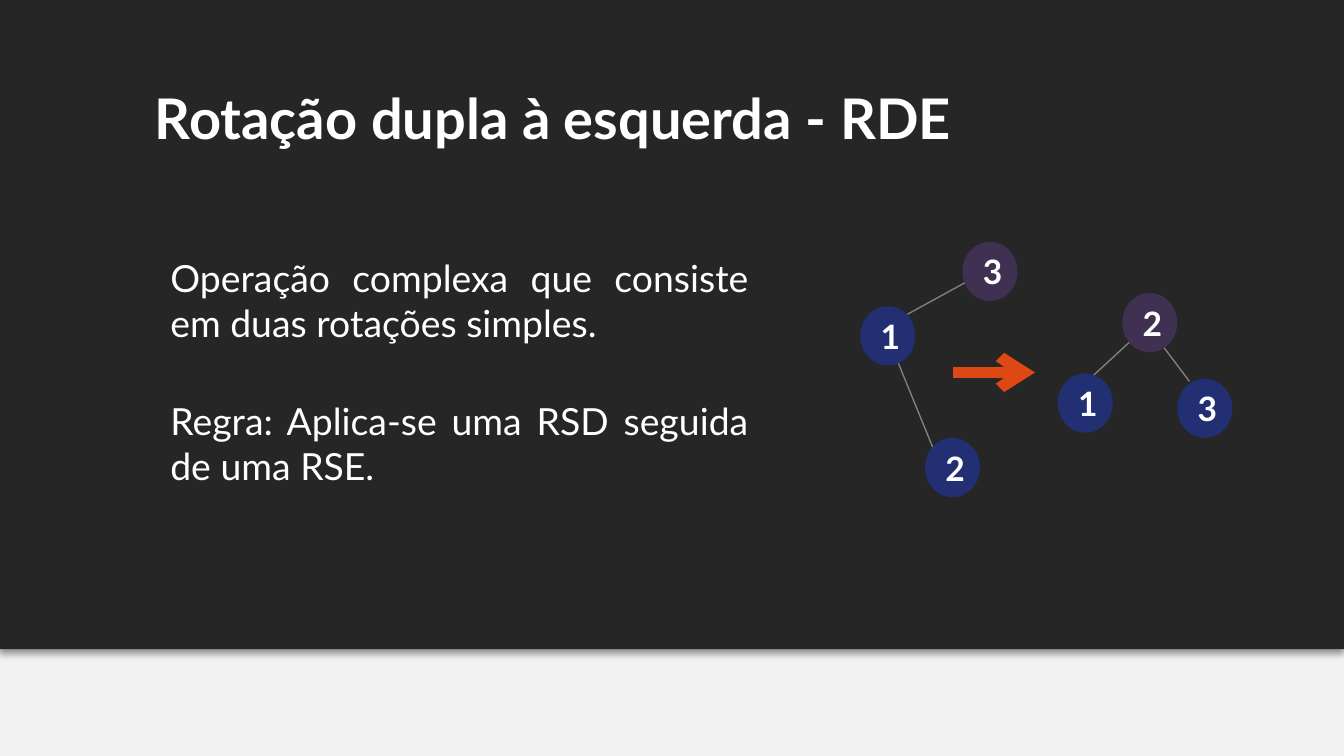
"""Build a slide that explains the double left rotation of a tree."""
import lxml.etree
import pptx
import pptx.dml.color
import pptx.enum.shapes
import pptx.enum.text
import pptx.oxml.ns
import pptx.util

Cm, Pt = pptx.util.Cm, pptx.util.Pt
ALIGN = pptx.enum.text.PP_ALIGN
ANCHOR = pptx.enum.text.MSO_ANCHOR
SHAPE = pptx.enum.shapes.MSO_SHAPE

WHITE, DARK, PALE = "FFFFFF", "262626", "F2F2F2"
BLUE, PURPLE, GREY, ORANGE = "232F73", "403152", "808080", "DD4814"
NODE_WIDTH, NODE_HEIGHT = 1.04, 1.12
INSET = 0.25

EDGES = [
    (18.39, 5.26, 17.15, 5.94),
    (16.89, 6.65, 17.63, 8.46),
    (20.4, 7.34, 21.69, 6.15),
    (21.41, 5.79, 22.48, 7.21),
]
NODES = [
    ("3", 18.19, 4.57, PURPLE),
    ("1", 16.26, 5.79, BLUE),
    ("2", 17.48, 8.28, BLUE),
    ("2", 21.21, 5.54, PURPLE),
    ("1", 19.99, 7.06, BLUE),
    ("3", 22.25, 7.16, BLUE),
]
RULES = [
    "Operação complexa que consiste em duas rotações simples.",
    "Regra: Aplica-se uma RSD seguida de uma RSE.",
]


def color(value):
    """Turn a hex string into a colour."""
    return pptx.dml.color.RGBColor.from_string(value)


def apply_format(target, values):
    """Set each attribute of the target from a dict."""
    for name, value in values.items():
        setattr(target, name, value)


def add_element(parent, tag, **attributes):
    """Append a drawing element to its parent and return it."""
    return lxml.etree.SubElement(parent, pptx.oxml.ns.qn(tag), attributes)


def place(shape, left, top, width, height):
    """Move and size a shape, in centimetres."""
    lengths = zip(("left", "top", "width", "height"), (left, top, width, height))
    apply_format(shape, {name: Cm(value) for name, value in lengths})


def write_text(shape, lines, size, bold, alignment, gap=0, anchor=ANCHOR.TOP,
               insets=(INSET, INSET, INSET, INSET), wrap=True):
    """Fill a shape with one paragraph for each line."""
    frame = shape.text_frame
    frame.text = "\n".join(lines)
    sides = ("margin_left", "margin_top", "margin_right", "margin_bottom")
    apply_format(frame, {side: Cm(inset) for side, inset in zip(sides, insets)})
    apply_format(frame, {
        "word_wrap": wrap,
        "vertical_anchor": anchor,
        "auto_size": pptx.enum.text.MSO_AUTO_SIZE.NONE,
    })
    for index, paragraph in enumerate(frame.paragraphs):
        apply_format(paragraph, {
            "alignment": alignment,
            "space_before": Pt(gap if index else 0),
        })
        font = paragraph.runs[0].font
        apply_format(font, {"name": "Lato", "size": Pt(size), "bold": bold})
        font.color.rgb = color(WHITE)


def add_filled(slide, kind, left, top, width, height, fill):
    """Add a borderless shape with a plain fill."""
    shape = slide.shapes.add_shape(kind, Cm(left), Cm(top), Cm(width), Cm(height))
    shape.shadow.inherit = False
    shape.fill.solid()
    shape.fill.fore_color.rgb = color(fill)
    shape.line.fill.background()
    return shape


def add_panel(slide):
    """Add the dark panel behind everything, with a shadow below it."""
    panel = add_filled(slide, SHAPE.RECTANGLE, 0, 0, 25.4, 12.27, DARK)
    effects = panel._element.spPr.find(pptx.oxml.ns.qn("a:effectLst"))
    shadow = add_element(effects, "a:outerShdw", blurRad=str(Pt(4)),
                         dist=str(Pt(3)), dir="5400000", rotWithShape="0")
    shade = add_element(shadow, "a:srgbClr", val="000000")
    add_element(shade, "a:alpha", val="40000")
    slide.shapes._spTree.insert(2, panel._element)


def add_node(slide, label, left, top, fill):
    """Add a numbered tree node."""
    node = add_filled(slide, SHAPE.OVAL, left, top, NODE_WIDTH, NODE_HEIGHT, fill)
    write_text(node, [label], 18, True, ALIGN.CENTER, anchor=ANCHOR.MIDDLE,
               insets=(0.1, 0, 0, 0), wrap=False)


def add_line(slide, points, line_color, width, arrow=False):
    """Add a straight line, with an arrowhead at its end if asked."""
    connector = slide.shapes.add_connector(
        pptx.enum.shapes.MSO_CONNECTOR.STRAIGHT, *map(Cm, points))
    connector.line.color.rgb = color(line_color)
    connector.line.width = Pt(width)
    if arrow:
        add_element(connector.line._get_or_add_ln(), "a:tailEnd", type="arrow")
    add_element(connector._element.spPr, "a:effectLst")


def main():
    """Build and save the presentation."""
    presentation = pptx.Presentation()
    apply_format(presentation, {"slide_width": Cm(25.4), "slide_height": Cm(14.29)})
    slide = presentation.slides.add_slide(presentation.slide_layouts[5])
    slide.background.fill.solid()
    slide.background.fill.fore_color.rgb = color(PALE)
    add_panel(slide)

    title = slide.shapes.title
    place(title, 2.11, 1.32, 16.69, 2.06)
    write_text(title, ["Rotação dupla à esquerda - RDE"], 30, True, ALIGN.CENTER)

    body = slide.shapes.add_textbox(Cm(2.97), Cm(4.57), Cm(11.43), Cm(4.83))
    write_text(body, RULES, 20, False, ALIGN.JUSTIFY, gap=28.8)

    for points in EDGES:
        add_line(slide, points, GREY, 0.75)
    for node in NODES:
        add_node(slide, *node)
    add_line(slide, (18.01, 7.04, 19.56, 7.04), ORANGE, 6, arrow=True)
    presentation.save("out.pptx")


if __name__ == "__main__":
    main()
